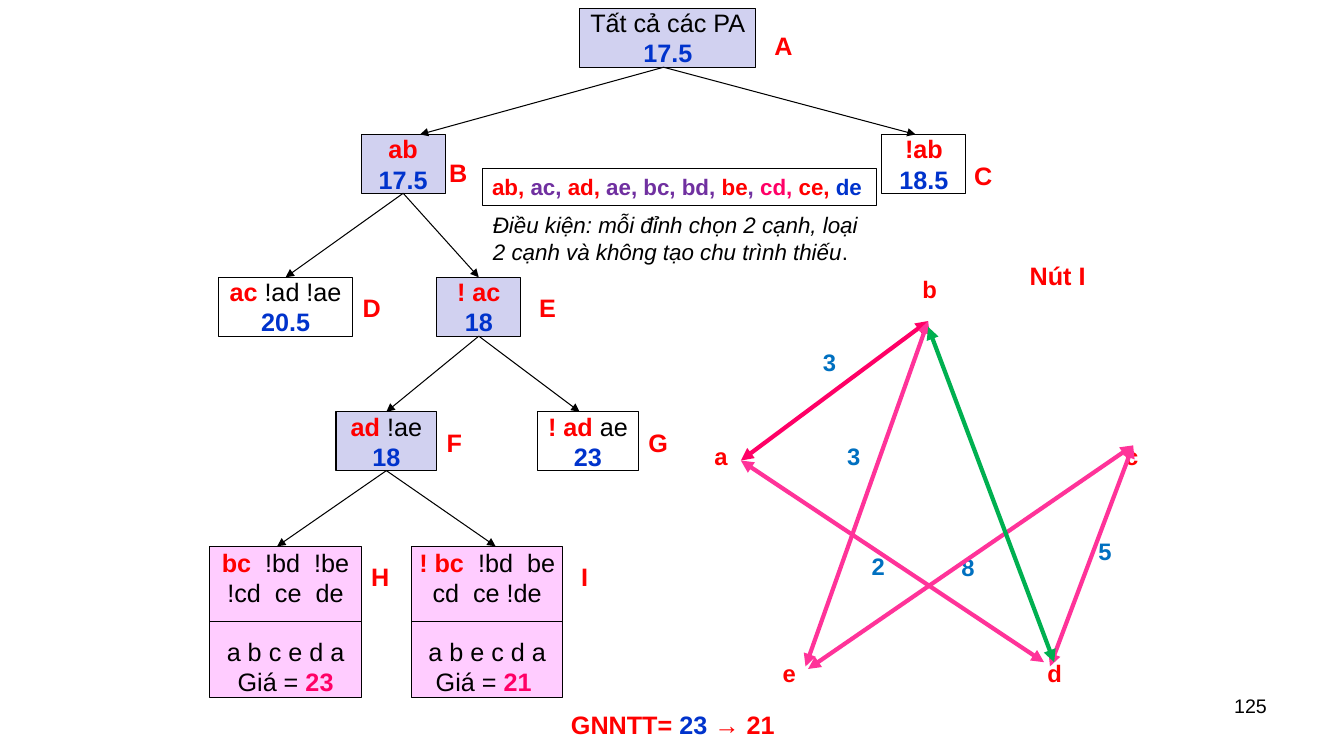
import pptx
import pptx.util
import pptx.dml.color
import pptx.enum.shapes
import pptx.enum.text
import pptx.oxml.ns
from lxml import etree

COLORS = {
    "red": "FF0000", "blue": "0033CC", "black": "000000", "white": "FFFFFF",
    "lilac": "D1D1F0", "pink": "FFCCFF", "rose": "FF0066", "violet": "7030A0",
    "azure": "0070C0", "magenta": "FF3399", "green": "00B050",
}
COLS = 160  # grid columns over the slide width; rows use the same step
WIDTH, HEIGHT = 13.34, 7.5

# Tree nodes: (left, top, width, height), fill, label offset from the
# top right corner, paragraphs of runs (text, colour, style)
NODES = {
    "A": ((69, 1, 21, 7), "lilac", (1, 2),
          [[("Tất cả các PA", "black", "")], [("17.5", "blue", "b")]]),
    "B": ((43, 16, 10, 7), "lilac", (-0.7, 2.1),
          [[("ab", "red", "b")], [("17.5", "blue", "b")]]),
    "C": ((105, 16, 10, 7), "white", (-0.2, 2.5),
          [[("!ab", "red", "b")], [("18.5", "blue", "b")]]),
    "D": ((26, 33, 16, 7), "white", (0, 1.2),
          [[("ac", "red", "b"), (" !ad !ae", "black", "")], [("20.5", "blue", "b")]]),
    "E": ((52, 33, 10, 7), "lilac", (1, 1.2),
          [[("! ac", "red", "b")], [("18", "blue", "b")]]),
    "F": ((40, 49, 12, 7), "lilac", (0, 1.2),
          [[("ad", "red", "b"), (" !ae", "black", "")], [("18", "blue", "b")]]),
    "G": ((64, 49, 12, 7), "white", (0, 1.2),
          [[("! ad ", "red", "b"), ("ae", "black", "")], [("23", "blue", "b")]]),
    "H": ((25, 65, 18, 18), "pink", (0, 1.2),
          [[("bc", "red", "b"), ("  !bd  !be", "black", "")],
           [("!cd  ce  de", "black", "")],
           [("a b c e d a", "black", "")],
           [("Giá = ", "black", ""), ("23", "rose", "b")]]),
    "I": ((49, 65, 18, 18), "pink", (1, 1.2),
          [[("! bc  ", "red", "b"), ("!bd  be", "black", "")],
           [("cd  ce !de", "black", "")],
           [("a b e c d a", "black", "")],
           [("Giá = ", "black", ""), ("21 ", "rose", "b")]]),
}
# Parent, child, shift of the arrow tip from the child's centre
BRANCHES = [("A", "B", 2), ("A", "C", -1), ("B", "D", 0), ("B", "E", 0),
            ("E", "F", 0), ("E", "G", -1), ("F", "H", -1), ("F", "I", 1)]

# Graph of node I
MARKS = [("2", 103.7, 66, "azure"), ("8", 114.4, 66.2, "azure"),
         ("5", 130.7, 64.2, "azure"), ("3", 100.8, 53, "azure"),
         ("3", 97.9, 41.8, "azure"), ("e", 93.1, 78.8, "red"),
         ("d", 124.7, 78.8, "red"), ("c", 133.9, 53, "red"),
         ("a", 85, 52.9, "red"), ("b", 109.8, 33.1, "red")]
a, b, c = (88.2, 54.8), (110.5, 38.2), (134.9, 53)
PATHS = [(a, b, "rose"), ((95.9, 79.3), b, "magenta"),
         (a, (124.3, 78.8), "magenta"), ((125, 79.3), c, "magenta"),
         ((96.2, 79.6), c, "magenta"), ((125.5, 78.8), (110.5, 38.9), "green")]

# Captions: (left, top, width, height), size, alignment, runs
EDGES = [("ab,", "red", "b"), (" ac, ", "violet", "b"), ("ad,", "red", "b"),
         (" ae, bc, bd, ", "violet", "b"), ("be", "red", "b"), (", ", "violet", "b"),
         ("cd, ", "rose", "b"), ("ce, ", "red", "b"), ("de", "blue", "b")]
CAPTIONS = [
    ((114.7, 82, 37.3, 6.2), 14, "RIGHT", [("125", "black", "")]),
    ((121.4, 30.4, 11.4, 4.8), 18, "LEFT", [("Nút I", "red", "b")]),
    ((66.8, 83.8, 29.2, 4.8), 18, "LEFT",
     [("GNNTT= ", "red", "b"), ("23 ", "blue", "b"), ("→ 21", "red", "b")]),
    ((57.5, 24.5, 47, 7.7), 16, "LEFT",
     [("Ðiều kiện: mỗi đỉnh chọn 2 cạnh, loại 2 cạnh và không tạo chu trình thiếu",
       "black", "i"), (".", "black", "")]),
]

Pt = pptx.util.Pt
qn = pptx.oxml.ns.qn
ALIGN = pptx.enum.text.PP_ALIGN
ANCHOR = pptx.enum.text.MSO_ANCHOR

deck = pptx.Presentation()
deck.slide_width = pptx.util.Inches(WIDTH)
deck.slide_height = pptx.util.Inches(HEIGHT)
slide = deck.slides.add_slide(deck.slide_layouts[6])


def grid(*steps):
    return [pptx.util.Inches(WIDTH * step / COLS) for step in steps]


def color(name):
    return pptx.dml.color.RGBColor.from_string(COLORS[name])


def write(shape, paras, size, align="LEFT", wrap=True, inset=True):
    frame = shape.text_frame
    frame.word_wrap = wrap
    if not inset:
        frame.margin_left = frame.margin_right = 0
        frame.margin_top = frame.margin_bottom = 0
    for i, runs in enumerate(paras):
        para = frame.paragraphs[0] if i == 0 else frame.add_paragraph()
        para.alignment = getattr(ALIGN, align)
        for text, tint, style in runs:
            run = para.add_run()
            run.text = text
            run.font.name = "Arial"
            run.font.size = Pt(size)
            run.font.bold = style == "b"
            run.font.italic = style == "i"
            run.font.color.rgb = color(tint)
    return frame


def label(spot, runs, size, align="LEFT", inset=True):
    box = slide.shapes.add_textbox(*grid(*spot))
    return write(box, [runs], size, align, inset=inset)


def block(spot, fill=None):
    rect = slide.shapes.add_shape(
        pptx.enum.shapes.MSO_SHAPE.RECTANGLE, *grid(*spot))
    rect.shadow.inherit = False
    rect.line.color.rgb = color("black")
    rect.line.width = Pt(0.75)
    if fill:
        rect.fill.solid()
        rect.fill.fore_color.rgb = color(fill)
    else:
        rect.fill.background()
    return rect


def link(start, end, tint="black", width=0.75, heads=()):
    line = slide.shapes.add_connector(
        pptx.enum.shapes.MSO_CONNECTOR.STRAIGHT, *grid(*start, *end))
    line.line.color.rgb = color(tint)
    line.line.width = Pt(width)
    for head in heads:
        etree.SubElement(line.line._get_or_add_ln(), qn("a:" + head), type="triangle")
    etree.SubElement(line._element.spPr, qn("a:effectLst"))


# Tree boxes with their letters
for name, (spot, fill, (dx, dy), paras) in NODES.items():
    left, top, width, height = spot
    frame = write(block(spot, fill), paras, 18, "CENTER", wrap=False)
    frame.vertical_anchor = ANCHOR.MIDDLE
    label((left + width + dx, top + dy, 5, 4.8), [(name, "red", "b")], 18)
    if len(paras) > 2:  # leaf: a rule splits the choice from the tour
        frame.paragraphs[2].space_before = Pt(20.7)
        middle = top + height / 2
        link((left, middle), (left + width, middle))

# Tree arrows
for parent, child, shift in BRANCHES:
    left, top, width, height = NODES[parent][0]
    start = (left + width // 2, top + height)
    left, top, width, height = NODES[child][0]
    link(start, (left + width // 2 + shift, top), heads=["tailEnd"])

# Edge list and captions
write(block((57.4, 20, 47, 4.5)), [EDGES], 16).vertical_anchor = ANCHOR.TOP
for spot, size, align, runs in CAPTIONS:
    label(spot, runs, size, align)

# Graph
for text, left, top, tint in MARKS:
    frame = label((left, top, 1.7, 3.7), [(text, tint, "b")], 17, "CENTER", inset=False)
    frame.paragraphs[0].line_spacing = 0.9
for start, end, tint in PATHS:
    link(start, end, tint, 3, ["headEnd", "tailEnd"])

deck.save("out.pptx")
